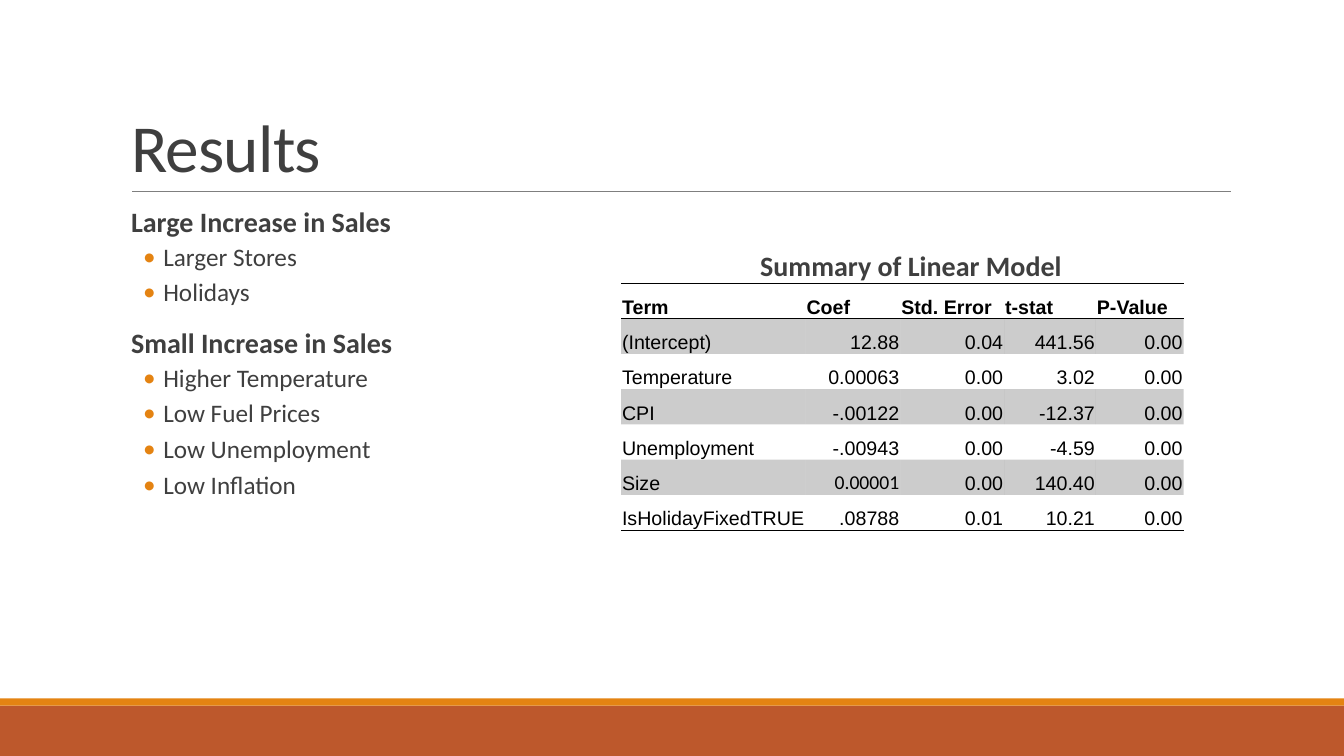
from dataclasses import dataclass
from typing import Any

from pptx import Presentation, util as u
from pptx.dml.color import RGBColor
from pptx.enum import shapes, text
from pptx.oxml.ns import qn
from lxml import etree


@dataclass(frozen=True)
class Theme:
    body_font: str = "Calibri"
    table_font: str = "Arial"
    ink: str = "3F3F3F"
    black: str = "000000"
    rule: str = "7F7F7F"
    orange: str = "E48312"
    rust: str = "BD582C"
    title_size: int = 48
    head_size: int = 20
    item_size: int = 18
    table_size: int = 14


@dataclass(frozen=True)
class Band:
    top: float
    height: float
    color: str


@dataclass(frozen=True)
class Group:
    heading: str
    items: tuple[str, ...]


T = Theme()
BANDS = [Band(7, 0.5, T.rust), Band(6.93, 0.07, T.orange)]
GROUPS = [
    Group("Large Increase in Sales", ("Larger Stores", "Holidays")),
    Group("Small Increase in Sales",
          ("Higher Temperature", "Low Fuel Prices", "Low Unemployment", "Low Inflation")),
]
COLUMNS = [1.83, 0.94, 1.03, 0.91, 0.87]
ROW_HEIGHT = 0.35
MODEL = [
    ("Term", "Coef", "Std. Error", "t-stat", "P-Value"),
    ("(Intercept)", "12.88", "0.04", "441.56", "0.00"),
    ("Temperature", "0.00063", "0.00", "3.02", "0.00"),
    ("CPI", "-.00122", "0.00", "-12.37", "0.00"),
    ("Unemployment", "-.00943", "0.00", "-4.59", "0.00"),
    ("Size", "0.00001", "0.00", "140.40", "0.00"),
    ("IsHolidayFixedTRUE", ".08788", "0.01", "10.21", "0.00"),
]
NO_STYLE = "{2D5ABB26-0587-4C30-8999-92F81FD0307C}"


def add_xml(parent: Any, tag: str, **attrs: Any) -> Any:
    return etree.SubElement(parent, qn(tag), {k: str(v) for k, v in attrs.items()})


def write(p: Any, words: str, *, size: int, font: str = T.body_font, color: str = T.ink,
          bold: bool = False, line: float = 1.0, before: float = 0,
          align: Any = text.PP_ALIGN.LEFT) -> Any:
    p.alignment, p.line_spacing, p.space_before = align, line, u.Pt(before)
    r = p.add_run()
    r.text = words
    r.font.size, r.font.name, r.font.bold = u.Pt(size), font, bold
    r.font.color.rgb = RGBColor.from_string(color)
    return r


def indent(p: Any, margin: float, first: float = 0, bullet: str = "") -> None:
    pPr = p._p.get_or_add_pPr()
    pPr.set("marL", str(u.Inches(margin)))
    pPr.set("indent", str(u.Inches(first)))
    if bullet:
        add_xml(add_xml(pPr, "a:buClr"), "a:srgbClr", val=T.orange)
        add_xml(pPr, "a:buFont", typeface=T.body_font)
        add_xml(pPr, "a:buChar", char=bullet)


def set_margins(tf: Any, side: float) -> None:
    tf.margin_left = tf.margin_right = u.Inches(side)
    tf.margin_top = tf.margin_bottom = u.Inches(0.05)
    tf.word_wrap = True


def add_box(s: Any, left: float, top: float, width: float, height: float) -> Any:
    tf = s.shapes.add_textbox(*map(u.Inches, (left, top, width, height))).text_frame
    set_margins(tf, 0)
    return tf


def add_heading(p: Any, words: str, before: float = 0) -> None:
    write(p, words, size=T.head_size, bold=True, line=0.9, before=before)
    indent(p, 0.1)


def add_band(s: Any, band: Band) -> None:
    sp = s.shapes.add_shape(shapes.MSO_SHAPE.RECTANGLE, 0, u.Inches(band.top),
                            u.Inches(13.33), u.Inches(band.height))
    sp.shadow.inherit = False
    sp.fill.solid()
    sp.fill.fore_color.rgb = RGBColor.from_string(band.color)
    sp.line.fill.background()


def add_title(s: Any, words: str) -> None:
    sp = s.shapes.title
    sp.left, sp.top, sp.width, sp.height = map(u.Inches, (1.2, 0.31, 11, 1.59))
    tf = sp.text_frame
    set_margins(tf, 0.1)
    tf.vertical_anchor = text.MSO_ANCHOR.BOTTOM
    r = write(tf.paragraphs[0], words, size=T.title_size, line=0.85)
    r.font._element.set("spc", "-50")


def add_rule(s: Any) -> None:
    cx = s.shapes.add_connector(shapes.MSO_CONNECTOR.STRAIGHT,
                                *map(u.Inches, (1.31, 1.9, 12.21, 1.9)))
    cx.line.width = u.Pt(0.75)
    cx.line.color.rgb = RGBColor.from_string(T.rule)
    add_xml(cx._element.spPr, "a:effectLst")


def add_findings(s: Any, groups: list[Group]) -> None:
    tf = add_box(s, 1.2, 2.02, 11, 4.4)
    for g, group in enumerate(groups):
        add_heading(tf.add_paragraph() if g else tf.paragraphs[0], group.heading,
                    before=16 if g else 0)
        for i, item in enumerate(group.items):
            p = tf.add_paragraph()
            p.level = 1
            write(p, item, size=T.item_size, line=0.9, before=6 if i else 4)
            indent(p, 0.42, -0.2, "•")


def add_border(cell: Any, side: str) -> None:
    ln = add_xml(cell._tc.get_or_add_tcPr(), side, w=u.Pt(1))
    add_xml(add_xml(ln, "a:solidFill"), "a:srgbClr", val=T.black)


def shade(cell: Any) -> None:
    cell.fill.solid()
    cell.fill.fore_color.rgb = RGBColor.from_string(T.black)
    for color in cell._tc.tcPr.findall(f"{qn('a:solidFill')}/{qn('a:srgbClr')}"):
        add_xml(color, "a:alpha", val=20000)


def add_model(s: Any, rows: list[tuple[str, ...]]) -> None:
    table = s.shapes.add_table(len(rows), len(COLUMNS), u.Inches(6.16), u.Inches(2.81),
                               u.Inches(sum(COLUMNS)),
                               u.Inches(ROW_HEIGHT * len(rows))).table
    table.first_row = table.horz_banding = False
    table._tbl.tblPr.find(qn("a:tableStyleId")).text = NO_STYLE
    for column, width in zip(table.columns, COLUMNS):
        column.width = u.Inches(width)
    for i, values in enumerate(rows):
        table.rows[i].height = u.Inches(ROW_HEIGHT)
        for j, value in enumerate(values):
            cell = table.cell(i, j)
            cell.margin_left = cell.margin_right = cell.margin_top = u.Inches(0.01)
            cell.margin_bottom = 0
            cell.vertical_anchor = text.MSO_ANCHOR.BOTTOM
            if i == 0:
                add_border(cell, "a:lnT")
            if i in (0, len(rows) - 1):
                add_border(cell, "a:lnB")
            if i % 2:
                shade(cell)
            else:
                cell.fill.background()
            write(cell.text_frame.paragraphs[0], value, size=T.table_size, color=T.black,
                  font=T.body_font if value == "0.00001" else T.table_font, bold=i == 0,
                  align=text.PP_ALIGN.RIGHT if i and j else text.PP_ALIGN.LEFT)


def main() -> None:
    prs = Presentation()
    prs.slide_width, prs.slide_height = u.Inches(13.33), u.Inches(7.5)
    s = prs.slides.add_slide(prs.slide_layouts[5])
    for band in BANDS:
        add_band(s, band)
    add_rule(s)
    add_title(s, "Results")
    add_findings(s, GROUPS)
    add_model(s, MODEL)
    add_heading(add_box(s, 7.44, 2.45, 3.24, 0.42).paragraphs[0], "Summary of Linear Model")
    prs.save("out.pptx")


if __name__ == "__main__":
    main()
